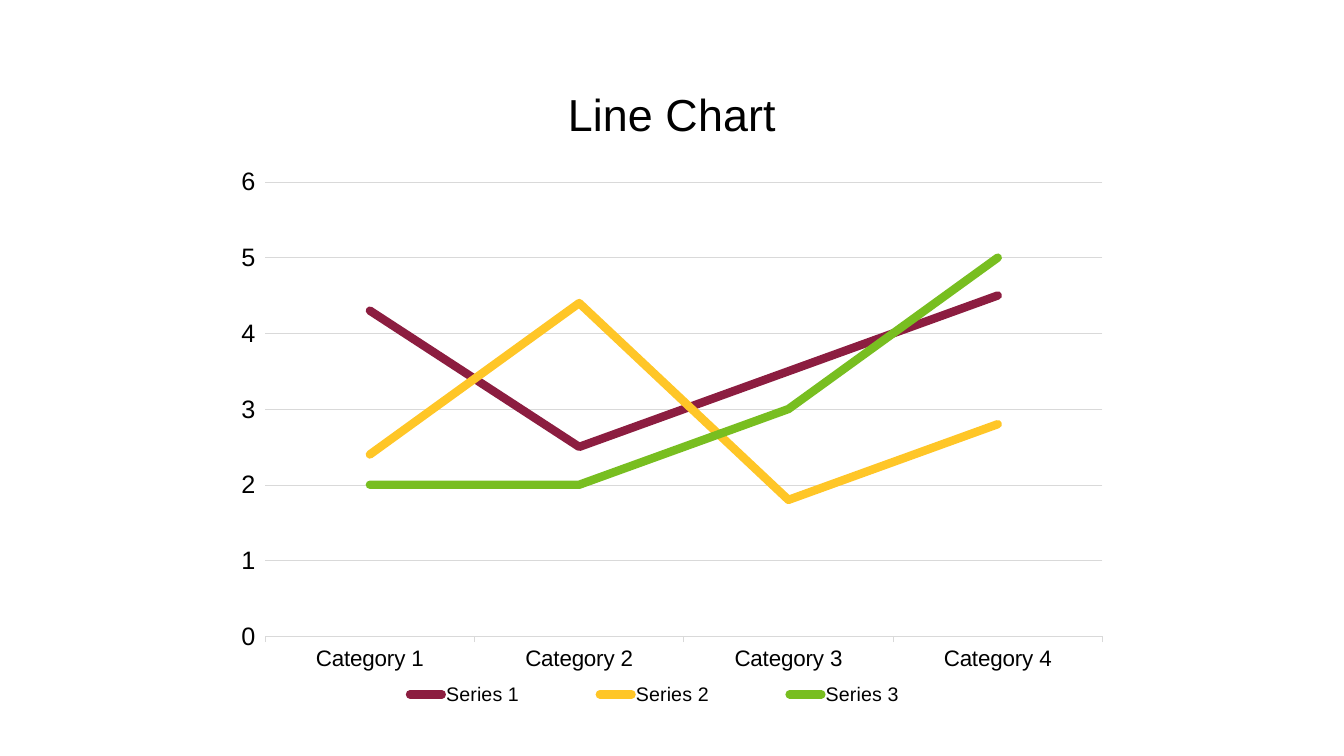
from pptx import Presentation
from pptx.chart.data import CategoryChartData
from pptx.dml.color import RGBColor
from pptx.enum.chart import XL_CHART_TYPE, XL_LEGEND_POSITION, XL_MARKER_STYLE, XL_TICK_MARK
from pptx.oxml import parse_xml
from pptx.oxml.ns import nsdecls
from pptx.util import Pt

LINE_CHART = XL_CHART_TYPE.LINE
LEGEND_BOTTOM = XL_LEGEND_POSITION.BOTTOM
NO_MARKER = XL_MARKER_STYLE.NONE
TICK_OUTSIDE = XL_TICK_MARK.OUTSIDE

BLACK = RGBColor(0x00, 0x00, 0x00)
GREY = RGBColor(0xD9, 0xD9, 0xD9)
MAROON = RGBColor(0x8C, 0x1D, 0x40)
GOLD = RGBColor(0xFF, 0xC6, 0x27)
GREEN = RGBColor(0x78, 0xBE, 0x20)

# Content
TITLE = "Line Chart"
CATEGORIES = ["Category 1", "Category 2", "Category 3", "Category 4"]
SERIES = [
    ("Series 1", (4.3, 2.5, 3.5, 4.5), MAROON),
    ("Series 2", (2.4, 4.4, 1.8, 2.8), GOLD),
    ("Series 3", (2, 2, 3, 5), GREEN),
]

# Geometry in points; plot and legend (left, top, width, height) count from the chart corner
SLIDE_WIDTH, SLIDE_HEIGHT = 960, 540
CHART_WIDTH, CHART_HEIGHT, CHART_TOP = 640, 473, 42
CHART_LEFT = (SLIDE_WIDTH - CHART_WIDTH) / 2
PLOT_BOX = (29.5, 88, 598, 324.5)
LEGEND_BOX = (80, 439, 455, 30)


def set_font(font, size, bold=False):
    font.name = "Arial"
    font.size = Pt(size)
    font.bold = bold
    font.color.rgb = BLACK


def set_line(line, color, width):
    line.color.rgb = color
    line.width = Pt(width)


def write_text(frame, text, size):
    para = frame.paragraphs[0]
    span = para.add_run()
    span.text = text
    set_font(span.font, size)


def make_layout(box, target=""):
    """Turn a box in points into a layout in shares of the chart."""
    extents = (CHART_WIDTH, CHART_HEIGHT) * 2
    modes = "".join(f'<c:{side}Mode val="edge"/>' for side in "xy")
    sizes = "".join(f'<c:{side} val="{length / extent}"/>'
                    for side, length, extent in zip("xywh", box, extents))
    return parse_xml(f'<c:layout {nsdecls("c")}><c:manualLayout>{target}{modes}{sizes}'
                     "</c:manualLayout></c:layout>")


deck = Presentation()
deck.slide_width, deck.slide_height = Pt(SLIDE_WIDTH), Pt(SLIDE_HEIGHT)
page = deck.slides.add_slide(deck.slide_layouts[6])

# Chart and title
chart_data = CategoryChartData()
chart_data.categories = CATEGORIES
for name, values, color in SERIES:
    chart_data.add_series(name, values)
chart = page.shapes.add_chart(
    LINE_CHART, Pt(CHART_LEFT), Pt(CHART_TOP), Pt(CHART_WIDTH), Pt(CHART_HEIGHT), chart_data
).chart
set_font(chart.font, 10)
chart.has_title = True
write_text(chart.chart_title.text_frame, TITLE, 32)

# Axes
category_axis, value_axis = chart.category_axis, chart.value_axis
for axis, size in ((category_axis, 16), (value_axis, 18)):
    set_font(axis.tick_labels.font, size)
    axis.major_tick_mark = TICK_OUTSIDE
set_line(category_axis.format.line, GREY, 0.75)
value_axis.minimum_scale, value_axis.maximum_scale, value_axis.major_unit = 0, 6, 1
value_axis.format.line.fill.background()
value_axis.has_major_gridlines = True
set_line(value_axis.major_gridlines.format.line, GREY, 0.25)

# Legend
chart.has_legend = True
chart.legend.position = LEGEND_BOTTOM
chart.legend.include_in_layout = False
set_font(chart.legend.font, 14)

# Places of plot and legend
for layout in chart.element.xpath("c:chart/c:plotArea/c:layout | c:chart/c:legend/c:layout"):
    layout.getparent().remove(layout)
plot_area = chart.element.xpath("c:chart/c:plotArea")[0]
plot_area.insert(0, make_layout(PLOT_BOX, '<c:layoutTarget val="inner"/>'))
legend_position = chart.element.xpath("c:chart/c:legend/c:legendPos")[0]
legend_position.addnext(make_layout(LEGEND_BOX))

# Series with round line ends
for series, (name, values, color) in zip(chart.plots[0].series, SERIES):
    series.smooth = False
    series.marker.style = NO_MARKER
    set_line(series.format.line, color, 6)
for outline in chart.element.xpath(".//c:ser/c:spPr/a:ln"):
    outline.set("cap", "rnd")

deck.save("out.pptx")
